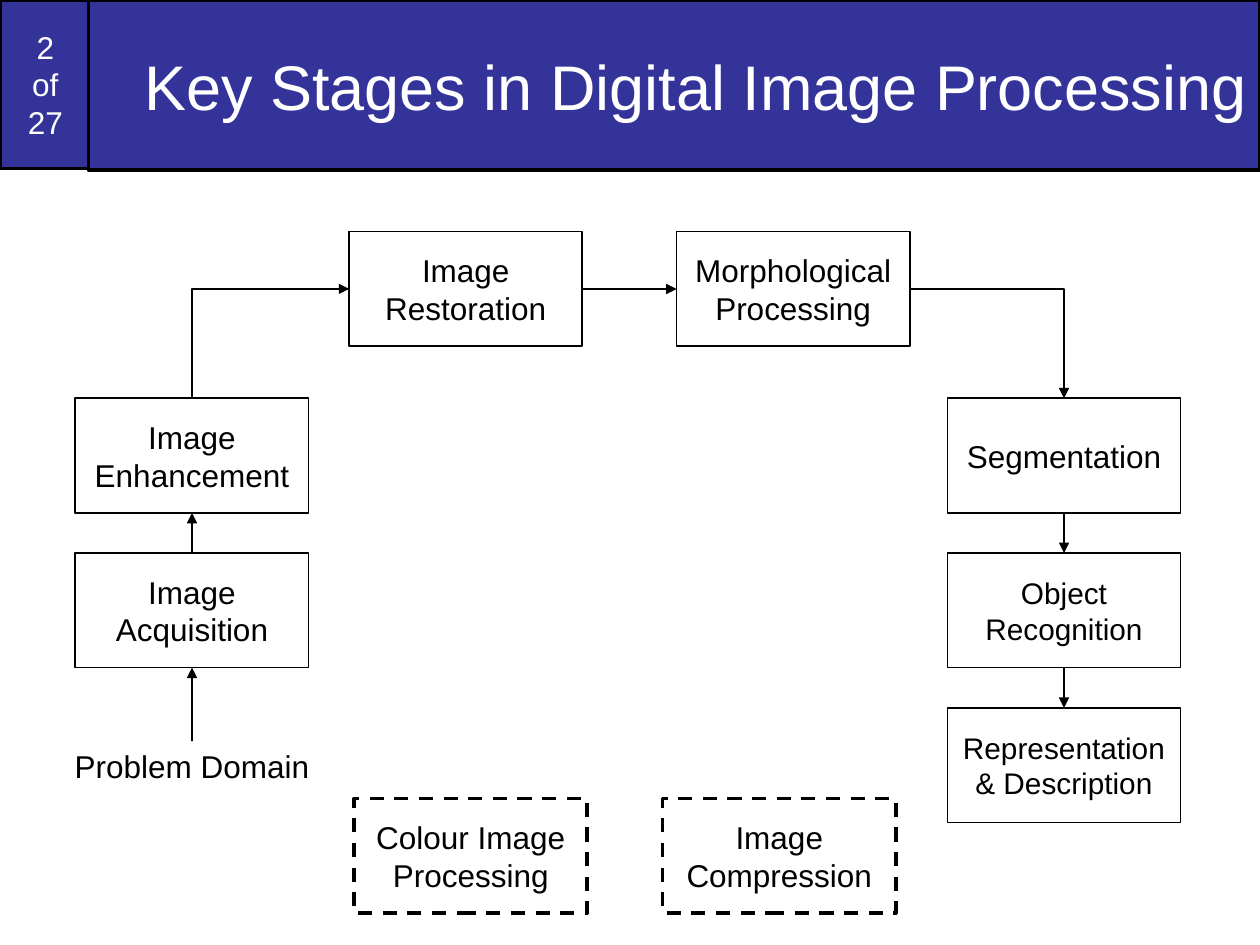
from pptx import Presentation
from pptx.dml.color import RGBColor
from pptx.enum import dml, shapes, text
from pptx.oxml.ns import qn
from pptx.util import Cm, Pt
from lxml import etree

THEME = {
    "font": "Arial",
    "banner": RGBColor(0x33, 0x33, 0x99),
    "paper": RGBColor(0xFF, 0xFF, 0xFF),
    "ink": RGBColor(0, 0, 0),
    "title": Pt(36),
    "body": Pt(18),
    "small": Pt(17),
    "thin": Pt(1),
    "thick": Pt(2),
}

TITLE = "Key Stages in Digital Image Processing"
PAGE_NUMBER = "2\vof\v27"
SOURCE = "Problem Domain"

# Lengths in centimetres
BOX_WIDTH, BOX_HEIGHT = 4.7, 2.31
LEFT, RIGHT = 1.52, 19.1
TOP_ROW, SIDE_ROW, ROW_STEP = 4.67, 8.03, 3.12
SIDE_ROWS = [SIDE_ROW + ROW_STEP * row for row in range(3)]
SUPPORT_ROW = 16.1
SOURCE_TOP, SOURCE_WIDTH, SOURCE_HEIGHT = 14.94, 5.23, 1.02

# Text, left, top, type size
STAGES = [
    ("Image Acquisition", LEFT, SIDE_ROWS[1], "body"),
    ("Image Enhancement", LEFT, SIDE_ROWS[0], "body"),
    ("Image Restoration", 7.04, TOP_ROW, "body"),
    ("Morphological Processing", 13.64, TOP_ROW, "body"),
    ("Segmentation", RIGHT, SIDE_ROWS[0], "body"),
    ("Object Recognition", RIGHT, SIDE_ROWS[1], "small"),
    ("Representation & Description", RIGHT, SIDE_ROWS[2], "small"),
]
SUPPORTING = [("Colour Image Processing", 7.14), ("Image Compression", 13.36)]

TOP, SIDE_LEFT, BOTTOM, SIDE_RIGHT = range(4)
STRAIGHT_ARROWS = [
    (SOURCE, TOP, "Image Acquisition", BOTTOM),
    ("Image Acquisition", TOP, "Image Enhancement", BOTTOM),
    ("Image Restoration", SIDE_RIGHT, "Morphological Processing", SIDE_LEFT),
    ("Segmentation", BOTTOM, "Object Recognition", TOP),
    ("Object Recognition", BOTTOM, "Representation & Description", TOP),
]


def write(shape, words, size, color, alignment):
    frame = shape.text_frame
    frame.text = words
    frame.word_wrap = True
    frame.auto_size = text.MSO_AUTO_SIZE.NONE
    frame.vertical_anchor = text.MSO_ANCHOR.MIDDLE
    paragraph = frame.paragraphs[0]
    paragraph.alignment = alignment
    paragraph.font.name = THEME["font"]
    paragraph.font.size = THEME[size]
    paragraph.font.color.rgb = THEME[color]


def paint(shape, fill, weight):
    shape.fill.solid()
    shape.fill.fore_color.rgb = THEME[fill]
    shape.line.color.rgb = THEME["ink"]
    shape.line.width = THEME[weight]


def add_box(slide, words, left, top, width=BOX_WIDTH, height=BOX_HEIGHT,
            size="body", fill="paper", color="ink", weight="thin"):
    box = slide.shapes.add_shape(
        shapes.MSO_SHAPE.RECTANGLE, Cm(left), Cm(top), Cm(width), Cm(height))
    box.shadow.inherit = False
    paint(box, fill, weight)
    write(box, words, size, color, text.PP_ALIGN.CENTER)
    return box


def add_arrow(slide, kind, start=(0, 0), end=(0, 0)):
    arrow = slide.shapes.add_connector(kind, *map(int, start + end))
    arrow.line.color.rgb = THEME["ink"]
    arrow.line.width = THEME["thin"]
    line = arrow.line._get_or_add_ln()
    etree.SubElement(line, qn("a:tailEnd"), type="triangle")
    etree.SubElement(arrow._element.spPr, qn("a:effectLst"))
    return arrow


def add_corner_arrow(slide, start, end, rising=False):
    """Turn once: across then down, or up then across when rising."""
    if rising:
        # A quarter turn about the centre swaps the two half extents.
        center_x, center_y = (start[0] + end[0]) / 2, (start[1] + end[1]) / 2
        half_x, half_y = (start[1] - end[1]) / 2, (end[0] - start[0]) / 2
        start = (center_x + half_x, center_y + half_y)
        end = (center_x - half_x, center_y - half_y)
    arrow = add_arrow(slide, shapes.MSO_CONNECTOR.ELBOW, start, end)
    properties = arrow._element.spPr
    properties.find(qn("a:prstGeom")).set("prst", "bentConnector2")
    if rising:
        properties.find(qn("a:xfrm")).set("rot", str(90 * 60000))


def side_middle(box, side):
    across = {SIDE_LEFT: 0, SIDE_RIGHT: 1}.get(side, 0.5)
    down = {TOP: 0, BOTTOM: 1}.get(side, 0.5)
    return box.left + box.width * across, box.top + box.height * down


def add_header(slide):
    add_box(slide, PAGE_NUMBER, 0, 0, 1.83, 3.4,
            fill="banner", color="paper", weight="thick")
    title = slide.shapes.title
    title.left, title.top, title.width, title.height = (
        Cm(1.78), Cm(0), Cm(23.62), Cm(3.43))
    paint(title, "banner", "thick")
    write(title, TITLE, "title", "paper", text.PP_ALIGN.RIGHT)
    slide.shapes._spTree.append(title._element)  # in front of the page number


def add_flow(slide):
    boxes = {words: add_box(slide, words, left, top, size=size)
             for words, left, top, size in STAGES}
    source = slide.shapes.add_textbox(
        Cm(LEFT + (BOX_WIDTH - SOURCE_WIDTH) / 2), Cm(SOURCE_TOP),
        Cm(SOURCE_WIDTH), Cm(SOURCE_HEIGHT))
    write(source, SOURCE, "body", "ink", text.PP_ALIGN.LEFT)
    source.text_frame.word_wrap = False
    boxes[SOURCE] = source

    for origin, origin_side, target, target_side in STRAIGHT_ARROWS:
        arrow = add_arrow(slide, shapes.MSO_CONNECTOR.STRAIGHT)
        arrow.begin_connect(boxes[origin], origin_side)
        arrow.end_connect(boxes[target], target_side)
    add_corner_arrow(slide,
                     side_middle(boxes["Morphological Processing"], SIDE_RIGHT),
                     side_middle(boxes["Segmentation"], TOP))
    add_corner_arrow(slide,
                     side_middle(boxes["Image Enhancement"], TOP),
                     side_middle(boxes["Image Restoration"], SIDE_LEFT),
                     rising=True)

    for words, left in SUPPORTING:
        box = add_box(slide, words, left, SUPPORT_ROW, weight="thick")
        box.line.dash_style = dml.MSO_LINE.DASH


def main():
    presentation = Presentation()
    presentation.slide_width, presentation.slide_height = Cm(25.4), Cm(19.05)
    slide = presentation.slides.add_slide(presentation.slide_layouts[5])
    add_header(slide)
    add_flow(slide)
    presentation.save("out.pptx")


if __name__ == "__main__":
    main()
